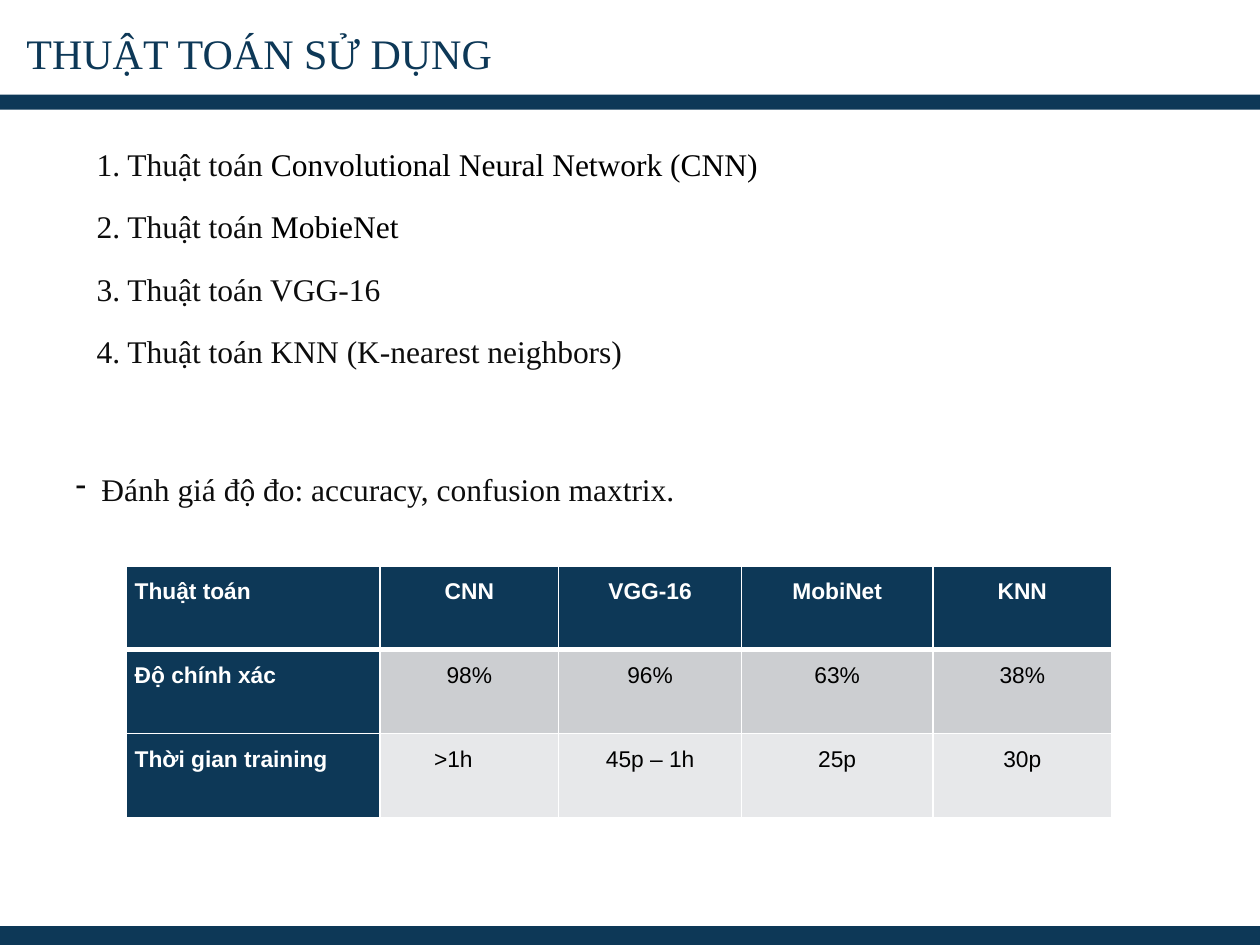
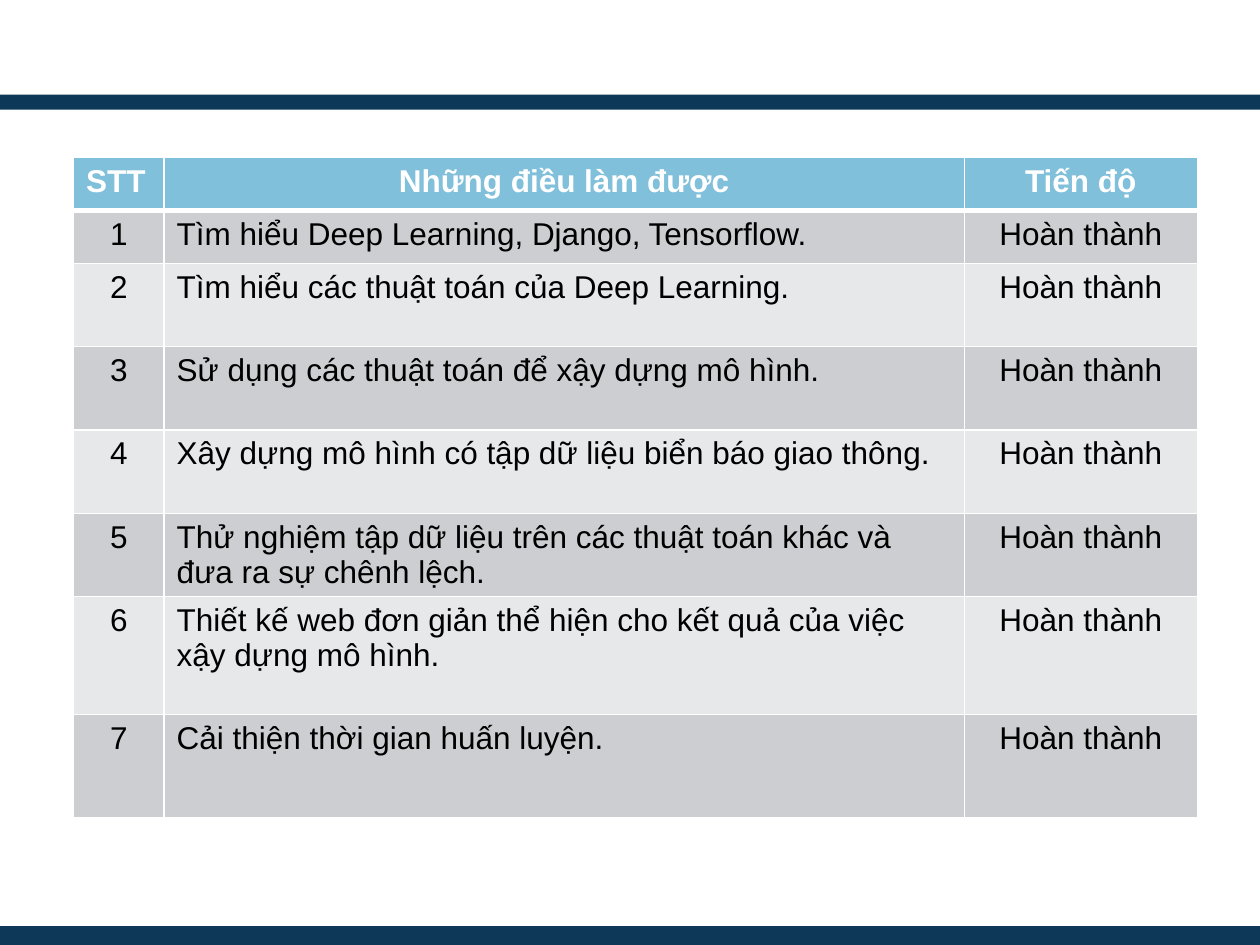
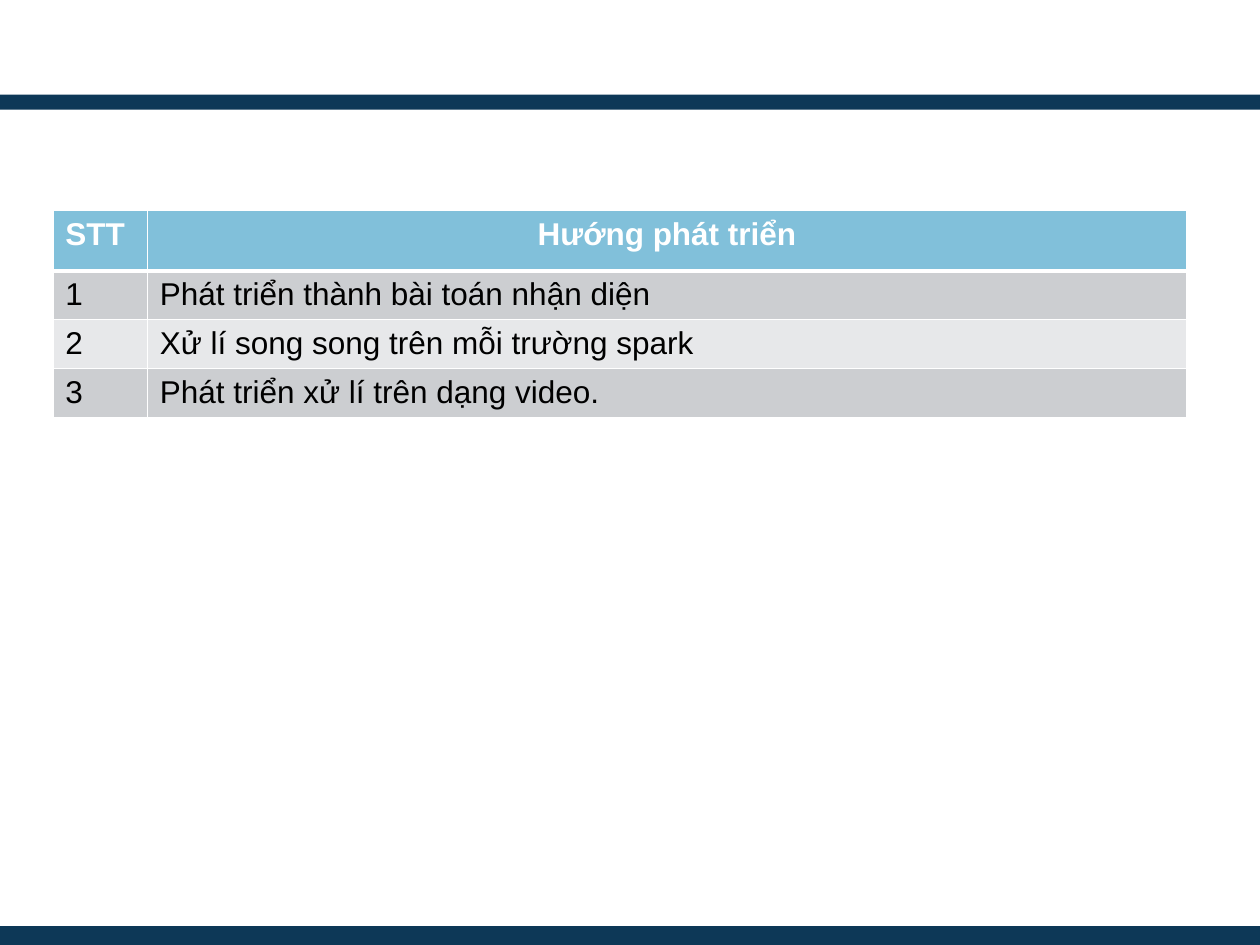
from pptx import Presentation
from pptx.dml.color import RGBColor
from pptx.enum.shapes import MSO_SHAPE
from pptx.enum.text import MSO_ANCHOR, MSO_AUTO_SIZE, PP_ALIGN
from pptx.oxml.ns import qn
from pptx.util import Pt
from lxml.etree import SubElement

NAVY, SKY, WHITE = "0D3857", "81C0DA", "FFFFFF"
INK, BLACK = "0D0D0D", "000000"
BANDS = ["CCCED1", "E7E8EA"]
SERIF, SANS = "Times New Roman", "Arial"
WIDE, HIGH = 720, 540
BARS = [(54, 8.64), (529.2, 10.8)]
ALIGN = {"l": PP_ALIGN.LEFT, "c": PP_ALIGN.CENTER}

TITLE = "THUẬT TOÁN SỬ DỤNG"
METHODS = [
    [("1. Thuật toán ", INK), ("Convolutional Neural Network (CNN)", BLACK)],
    [("2. Thuật toán ", INK), ("MobieNet", BLACK)],
    [("3. Thuật toán VGG-16", INK)],
    [("4. Thuật toán KNN (K-nearest neighbors)", INK)],
]
METRIC = "Đánh giá độ đo: accuracy, confusion maxtrix."

SCORES = {
    "at": (72, 323.3), "cols": [145.1, 102.2, 104.4, 109.4, 102.2],
    "rows": [48] * 3, "align": "lcccc", "heads": "lcccc",
    "head": NAVY, "side": True, "size": 13, "inset": (5, 0), "gap": 1.5,
    "cells": [
        ["Thuật toán", "CNN", "VGG-16", "MobiNet", "KNN"],
        ["Độ chính xác", "98%", "96%", "63%", "38%"],
        ["Thời gian training", ">1h", "45p – 1h", "25p", "30p"],
    ],
}
TASKS = [
    "Tìm hiểu Deep Learning, Django, Tensorflow.",
    "Tìm hiểu các thuật toán của Deep Learning.",
    "Sử dụng các thuật toán để xậy dựng mô hình.",
    "Xây dựng mô hình có tập dữ liệu biển báo giao thông.",
    "Thử nghiệm tập dữ liệu trên các thuật toán khác và đưa ra sự chênh lệch.",
    "Thiết kế web đơn giản thể hiện cho kết quả của việc xậy dựng mô hình.",
    "Cải thiện thời gian huấn luyện.",
]
PLANS = [
    "Phát triển thành bài toán nhận diện",
    "Xử lí song song trên mỗi trường spark",
    "Phát triển xử lí trên dạng video.",
]
PLAIN = {"head": SKY, "side": False, "size": 18, "inset": (7.2, 3.6), "gap": 1}
DONE = PLAIN | {
    "at": (42, 90), "cols": [51.8, 457.2, 133.2],
    "rows": [30.3] * 2 + [47.6] * 4 + [67.4, 58.9],
    "align": "clc", "heads": "lcc",
    "cells": [["STT", "Những điều làm được", "Tiến độ"]]
    + [[str(n), task, "Hoàn thành"] for n, task in enumerate(TASKS, 1)],
}
NEXT = PLAIN | {
    "at": (30.2, 120.2), "cols": [54, 594], "rows": [34.6] + [27.9] * 3,
    "align": "ll", "heads": "lc",
    "cells": [["STT", "Hướng phát triển"]]
    + [[str(n), plan] for n, plan in enumerate(PLANS, 1)],
}


def tint(code):
    return RGBColor.from_string(code)


def write(para, text, size, face, color, bold=False):
    run = para.add_run()
    run.text = text
    font = run.font
    font.size, font.name, font.bold = Pt(size), face, bold
    font.color.rgb = tint(color)


def place(shape, left, top, width, height):
    shape.left, shape.top = Pt(left), Pt(top)
    shape.width, shape.height = Pt(width), Pt(height)


def clear(frame):
    frame.margin_left = frame.margin_right = 0
    frame.margin_top = frame.margin_bottom = 0
    frame.word_wrap = True
    frame.auto_size = MSO_AUTO_SIZE.NONE


def mark(para, char=None, hang=0):
    props = para._p.get_or_add_pPr()
    props.set("marL", str(Pt(hang)))
    props.set("indent", str(Pt(-hang)))
    if char:
        SubElement(props, qn("a:buChar")).set("char", char)
    else:
        SubElement(props, qn("a:buNone"))


def space(para):
    para.line_spacing = 1.5
    para.space_before, para.space_after = Pt(0), Pt(3.2)


def edge(cell, side, width):
    line = SubElement(cell._tc.get_or_add_tcPr(), qn("a:ln" + side))
    line.set("w", str(Pt(width)))
    fill = SubElement(line, qn("a:solidFill"))
    SubElement(fill, qn("a:srgbClr")).set("val", WHITE)


def grid(slide, data):
    rows, cols = data["rows"], data["cols"]
    box = map(Pt, (*data["at"], sum(cols), sum(rows)))
    table = slide.shapes.add_table(len(rows), len(cols), *box).table
    for col, width in zip(table.columns, cols):
        col.width = Pt(width)
    for r, texts in enumerate(data["cells"]):
        table.rows[r].height = Pt(rows[r])
        for c, text in enumerate(texts):
            cell = table.cell(r, c)
            strong = r == 0 or (data["side"] and c == 0)
            for side in "LRTB":
                thick = (r, side) in [(0, "B"), (1, "T")]
                edge(cell, side, 3 if thick else 1)
            cell.fill.solid()
            cell.fill.fore_color.rgb = tint(data["head"] if strong else BANDS[(r - 1) % 2])
            flat, tall = map(Pt, data["inset"])
            cell.margin_left = cell.margin_right = flat
            cell.margin_top = cell.margin_bottom = tall
            para = cell.text_frame.paragraphs[0]
            para.alignment = ALIGN[data["align" if r else "heads"][c]]
            para.line_spacing = data["gap"]
            write(para, text, data["size"], SANS, WHITE if strong else BLACK, strong)
    return table


def bars(deck, slide):
    for top, height in BARS:
        bar = slide.shapes.add_shape(MSO_SHAPE.RECTANGLE, 0, Pt(top), Pt(WIDE), Pt(height))
        bar.shadow.inherit = False
        bar.fill.solid()
        bar.fill.fore_color.rgb = tint(NAVY)
        bar.line.fill.background()
        deck.slide_master.shapes.element.append(bar.element)


def intro(slide):
    title, body = slide.placeholders
    place(title, 15.1, 5.8, 648, 48.2)
    clear(title.text_frame)
    title.text_frame.vertical_anchor = MSO_ANCHOR.MIDDLE
    para = title.text_frame.paragraphs[0]
    para.alignment = PP_ALIGN.LEFT
    write(para, TITLE, 24, SERIF, NAVY)

    place(body, 55.2, 72, 420, 140)
    frame = body.text_frame
    clear(frame)
    for n, parts in enumerate(METHODS):
        para = frame.add_paragraph() if n else frame.paragraphs[0]
        space(para)
        mark(para)
        for text, color in parts:
            write(para, text, 18, SERIF, color)

    table = grid(slide, SCORES)
    hour = table.cell(2, 1)
    hour.margin_left = Pt(31)
    hour.text_frame.paragraphs[0].alignment = PP_ALIGN.LEFT

    note = slide.shapes.add_textbox(Pt(43.2), Pt(257.8), Pt(400), Pt(32))
    clear(note.text_frame)
    para = note.text_frame.paragraphs[0]
    space(para)
    mark(para, "-", 14.8)
    write(para, METRIC, 18, SERIF, INK)


def main():
    deck = Presentation()
    deck.slide_width, deck.slide_height = Pt(WIDE), Pt(HIGH)
    first = deck.slides.add_slide(deck.slide_layouts[1])
    bars(deck, first)
    intro(first)
    for data in (DONE, NEXT):
        grid(deck.slides.add_slide(deck.slide_layouts[6]), data)
    deck.save("out.pptx")


if __name__ == "__main__":
    main()
